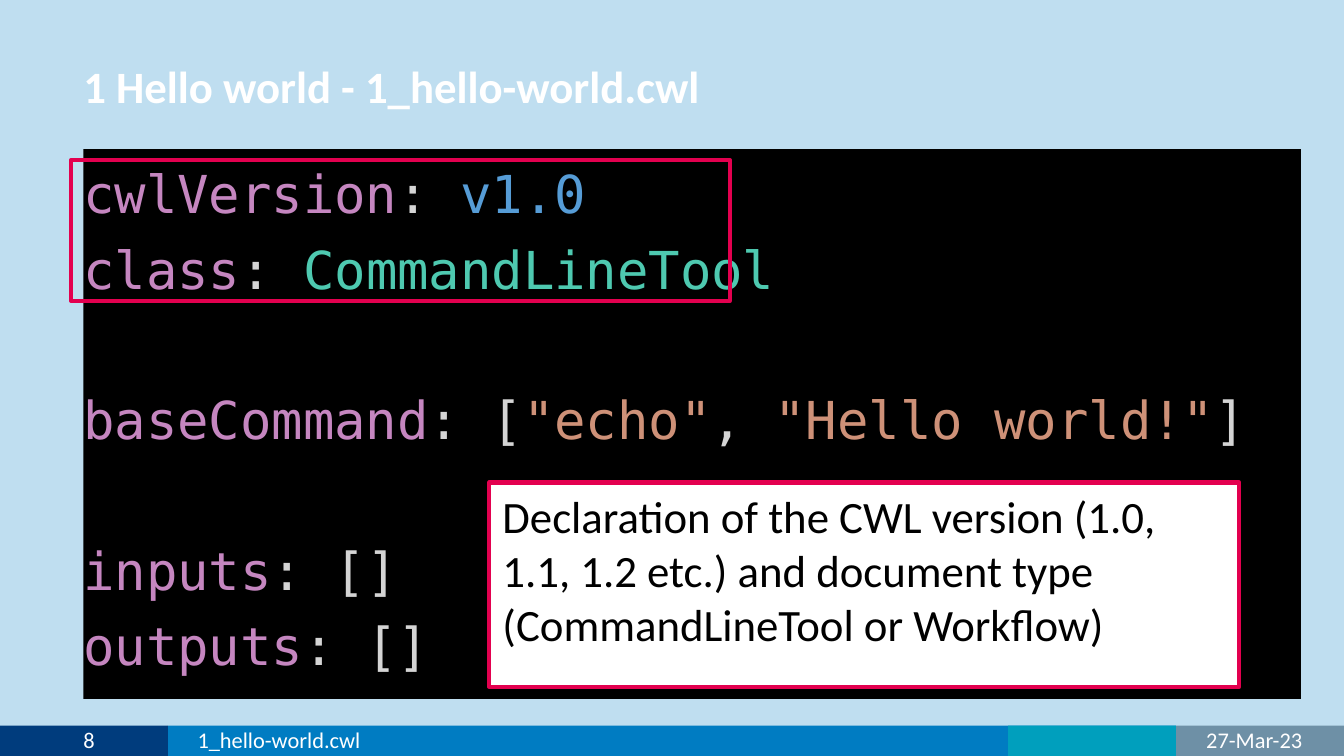
from pptx import Presentation, util as u
from pptx.dml.color import RGBColor
from pptx.enum import shapes, text

# Content
TITLE = "1 Hello world - 1_hello-world.cwl"
NOTE = ("Declaration of the CWL version (1.0, 1.1, 1.2 etc.) and document "
        "type (CommandLineTool or Workflow)")
# Each line of code: gap above it, then (text, role) pieces
CODE = [
    (False, [("cwlVersion", "key"), (": ", "mark"), ("v1.0", "value")]),
    (False, [("class", "key"), (": ", "mark"), ("CommandLineTool", "type")]),
    (True, [("baseCommand", "key"), (": [", "mark"), ('"echo"', "string"),
            (", ", "mark"), ('"Hello world!"', "string"), ("]", "mark")]),
    (True, [("inputs", "key"), (": []", "mark")]),
    (False, [("outputs", "key"), (": []", "mark")]),
]
# Footer: text, left, width, alignment
FOOTER = [
    ("8", 0.62, 0.56, "LEFT"),
    ("1_hello-world.cwl", 1.47, 6.03, "LEFT"),
    ("27-Mar-23", 8.75, 0.94, "RIGHT"),
]
# Footer bands, back to front: colour, first column, columns (of eight)
BANDS = [("slate", 7, 1), ("blue", 1, 6), ("navy", 0, 1), ("teal", 6, 1)]

THEME = {
    "color": {
        "back": "BFDEF0", "navy": "003C7D", "blue": "007CC2",
        "teal": "009FBD", "slate": "6E90A6", "black": "000000",
        "white": "FFFFFF", "red": "E3004F", "key": "C586C0",
        "mark": "D4D4D4", "value": "569CD6", "type": "4EC9B0",
        "string": "CE9178",
    },
    "font": {
        "title": {"name": "Calibri", "size": u.Pt(24), "bold": True},
        "note": {"name": "Calibri", "size": u.Pt(24)},
        "foot": {"name": "Calibri", "size": u.Pt(12)},
        "code": {"name": "DejaVu Sans Mono", "size": u.Pt(28)},
    },
}
WIDE = u.Inches(10)
HIGH = WIDE * 9 // 16
LEFT = 0.62
STEP = 1.25


def color(name):
    return RGBColor.from_string(THEME["color"][name])


def apply(item, values):
    for name, value in values.items():
        setattr(item, name, value)


def box(slide, area, fill=None, line=None):
    shape = slide.shapes.add_shape(
        shapes.MSO_SHAPE.RECTANGLE, *map(u.Inches, area))
    shape.shadow.inherit = False
    if fill:
        shape.fill.solid()
        shape.fill.fore_color.rgb = color(fill)
    else:
        shape.fill.background()
    if line:
        shape.line.color.rgb = color(line)
        shape.line.width = u.Pt(2.25)
    else:
        shape.line.fill.background()
    return shape


def frame(shape, anchor="TOP", pad=(0, 0, 0, 0)):
    names = ("margin_left", "margin_top", "margin_right", "margin_bottom")
    body = shape.text_frame
    apply(body, dict(zip(names, map(u.Inches, pad))))
    apply(body, {"word_wrap": True,
                 "vertical_anchor": getattr(text.MSO_ANCHOR, anchor)})
    return body


def write(para, words, font, tone, align="LEFT"):
    para.alignment = getattr(text.PP_ALIGN, align)
    run = para.add_run()
    run.text = words
    apply(run.font, THEME["font"][font])
    run.font.color.rgb = color(tone)


def label(slide, area):
    return slide.shapes.add_textbox(*map(u.Inches, area))


def main():
    deck = Presentation()
    apply(deck, {"slide_width": WIDE, "slide_height": HIGH})
    slide = deck.slides.add_slide(deck.slide_layouts[6])
    slide.background.fill.solid()
    slide.background.fill.fore_color.rgb = color("back")

    # Footer bands
    for fill, first, count in BANDS:
        box(slide, (first * STEP, 5.4, count * STEP, 0.24), fill)

    # Code panel
    body = frame(box(slide, (LEFT, 1.11, 9.06, 4.09), "black"))
    for row, (gap, parts) in enumerate(CODE):
        para = body.add_paragraph() if row else body.paragraphs[0]
        para.line_spacing = 1.2
        if gap:
            para.space_before = u.Pt(40.4)
        for words, role in parts:
            write(para, words, "code", role)

    # Title
    body = frame(label(slide, (LEFT, 0, 7.25, 0.93)), "BOTTOM",
                 (0, 0, 0, 0.08))
    body.paragraphs[0].line_spacing = 0.96
    write(body.paragraphs[0], TITLE, "title", "white")

    # Footer text
    for words, left, width, align in FOOTER:
        body = frame(label(slide, (left, 5.38, width, 0.25)), "MIDDLE")
        write(body.paragraphs[0], words, "foot", "white", align)

    # Highlight and its note
    box(slide, (0.53, 1.19, 4.9, 1.05), line="red")
    note = box(slide, (3.64, 3.59, 5.58, 1.52), "white", "red")
    body = frame(note, pad=(0.1, 0.05, 0.1, 0.05))
    write(body.paragraphs[0], NOTE, "note", "black")

    deck.save("out.pptx")


if __name__ == "__main__":
    main()
